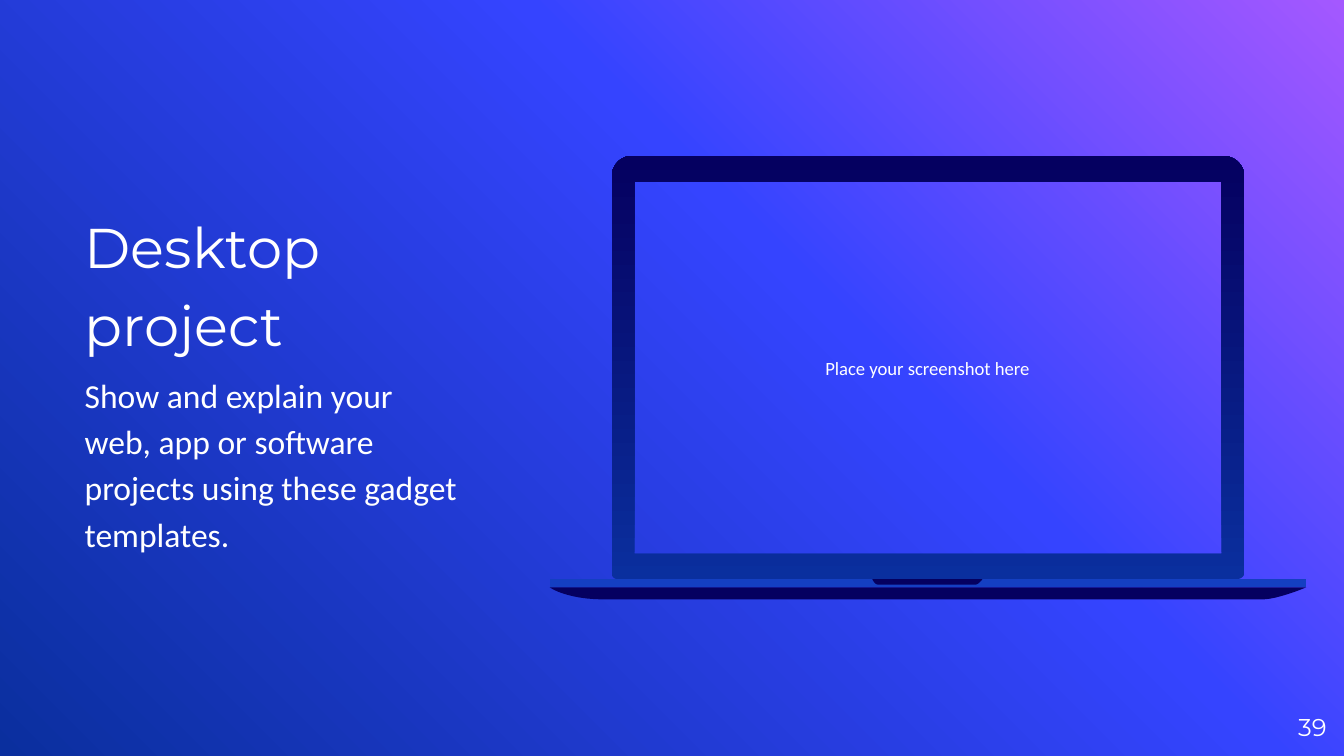
import copy
import pptx
import pptx.util
import pptx.dml.color
import pptx.enum.text

Inches = pptx.util.Inches
Pt = pptx.util.Pt
RGBColor = pptx.dml.color.RGBColor
PP_ALIGN = pptx.enum.text.PP_ALIGN

WHITE = RGBColor(0xFF, 0xFF, 0xFF)
PURPLE = RGBColor(0xA4, 0x58, 0xFF)
BLUE = RGBColor(0x35, 0x44, 0xFF)
DEEP_BLUE = RGBColor(0x0A, 0x2F, 0x9E)
NAVY = RGBColor(0x05, 0x00, 0x60)
EDGE_BLUE = RGBColor(0x14, 0x3F, 0xC2)


def curve(*controls, steps=12):
    points = []
    for step in range(steps + 1):
        t = step / steps
        weights = ((1 - t) ** 3, 3 * t * (1 - t) ** 2, 3 * t * t * (1 - t), t ** 3)
        points.append(tuple(sum(w * c[axis] for w, c in zip(weights, controls)) for axis in (0, 1)))
    return points


def add_text(box, paragraphs, align, inset=0):
    left, top, width, height = map(Inches, box)
    frame = slide.shapes.add_textbox(left, top, width, height).text_frame
    frame.word_wrap = True
    frame.vertical_anchor = pptx.enum.text.MSO_ANCHOR.MIDDLE
    frame.margin_left = frame.margin_right = Inches(inset)
    frame.margin_top = frame.margin_bottom = Inches(inset)
    frame.text = "\n".join(text for text, font, size in paragraphs)
    for paragraph, (text, font, size) in zip(frame.paragraphs, paragraphs):
        paragraph.alignment = align
        run = paragraph.runs[0]
        run.font.name = font
        run.font.size = Pt(size)
        run.font.color.rgb = WHITE
    return frame


presentation = pptx.Presentation()
presentation.slide_width = Inches(10)
presentation.slide_height = Inches(10 * 9 / 16)
slide = presentation.slides.add_slide(presentation.slide_layouts[6])

backdrop = slide.background.fill
backdrop.gradient()
backdrop.gradient_angle = 225
stop_list = slide.background._cSld.xpath(".//a:gsLst")[0]
stop_list.insert(1, copy.deepcopy(stop_list[0]))
for stop, position, color in zip(backdrop.gradient_stops, (0, 0.39, 1), (PURPLE, BLUE, DEEP_BLUE)):
    stop.position = position
    stop.color.rgb = color

add_text((9.27, 5.19, 0.6, 0.43), [("39", "Montserrat", 13)], PP_ALIGN.RIGHT)
add_text((4.71, 1.34, 4.38, 2.79), [("Place your screenshot here", "Calibri", 10)], PP_ALIGN.CENTER, 0.1)

lid = (
    curve((4.7, 1.16), (4.62, 1.16), (4.55, 1.23), (4.55, 1.32))
    + curve((4.55, 4.26), (4.55, 4.29), (4.57, 4.31), (4.6, 4.31))
    + curve((9.2, 4.31), (9.23, 4.31), (9.26, 4.29), (9.26, 4.26))
    + curve((9.26, 1.32), (9.26, 1.23), (9.19, 1.16), (9.1, 1.16))
)
screen = [(9.09, 4.12), (4.72, 4.12), (4.72, 1.35), (9.09, 1.35)]
underside = (
    curve((4.09, 4.37), (4.09, 4.37), (4.21, 4.46), (4.5, 4.46))
    + curve((9.39, 4.46), (9.51, 4.46), (9.72, 4.37), (9.72, 4.37))
)
front_edge = [(4.09, 4.37), (9.72, 4.37), (9.72, 4.31), (4.09, 4.31)]
notch = (
    curve((6.49, 4.31), (6.49, 4.31), (6.51, 4.35), (6.53, 4.35))
    + curve((7.26, 4.35), (7.28, 4.35), (7.31, 4.31), (7.31, 4.31))
)

laptop = slide.shapes.add_group_shape()
for outlines, color in (
    ([lid, screen], None),
    ([underside], NAVY),
    ([front_edge], EDGE_BLUE),
    ([notch], NAVY),
):
    contours = [[(Inches(x), Inches(y)) for x, y in outline] for outline in outlines]
    builder = laptop.shapes.build_freeform(*contours[0][0])
    builder.add_line_segments(contours[0][1:], close=True)
    for contour in contours[1:]:
        builder.move_to(*contour[0])
        builder.add_line_segments(contour[1:], close=True)
    part = builder.convert_to_shape()
    part.shadow.inherit = False
    part.line.fill.background()
    if color is None:
        part.fill.gradient()
        part.fill.gradient_angle = 90
        for stop, position, shade in zip(part.fill.gradient_stops, (0, 1), (DEEP_BLUE, NAVY)):
            stop.position = position
            stop.color.rgb = shade
    else:
        part.fill.solid()
        part.fill.fore_color.rgb = color

description = add_text(
    (0.63, 0.86, 2.78, 3.91),
    [
        ("Desktop project", "Montserrat", 30),
        ("Show and explain your web, app or software projects using these gadget templates.", "Calibri", 18),
    ],
    PP_ALIGN.LEFT,
)
for paragraph in description.paragraphs:
    paragraph.line_spacing = 1.15
    paragraph.space_before = Pt(6)

presentation.save("out.pptx")
